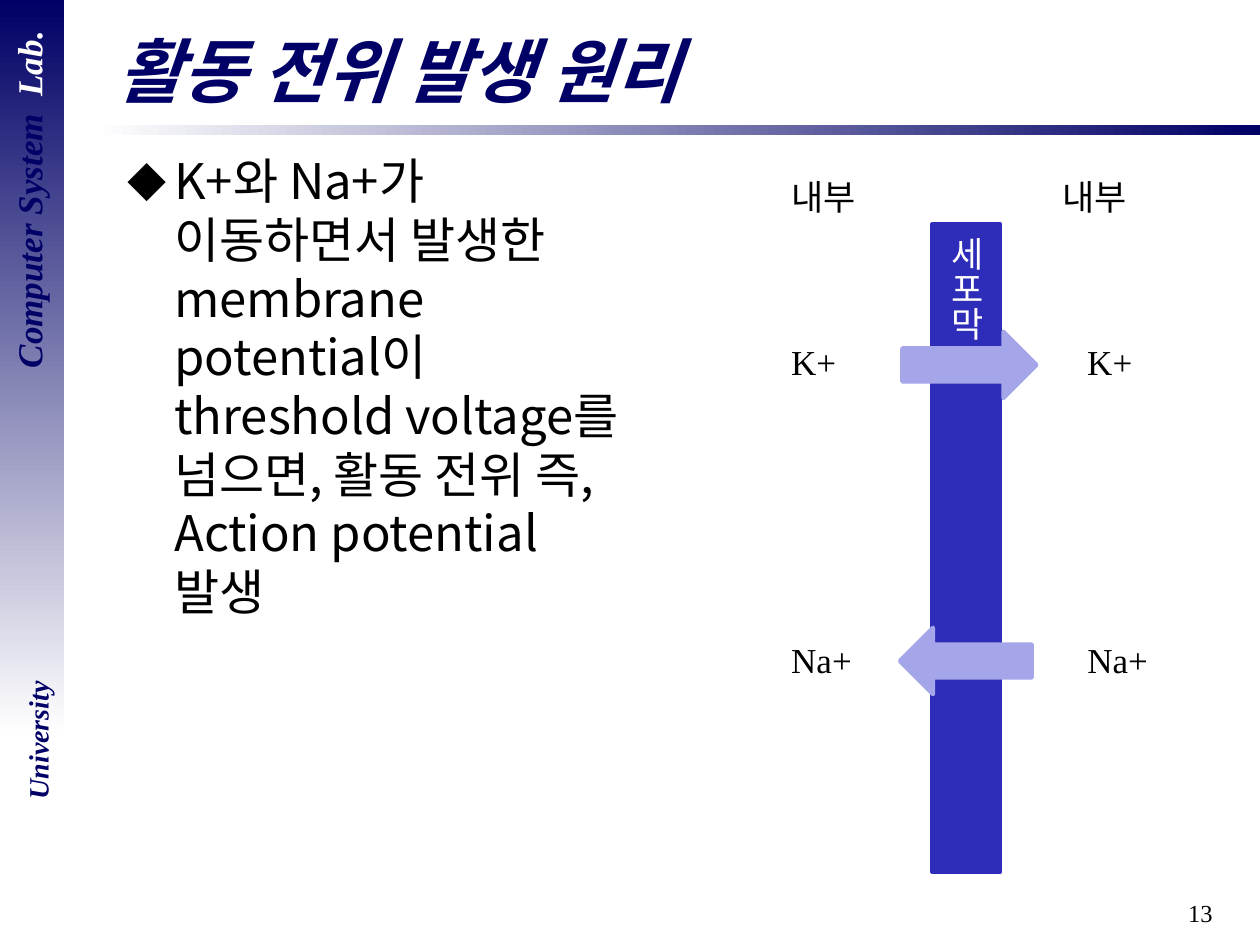
import lxml.etree
import pptx
import pptx.dml.color
import pptx.enum.shapes
import pptx.enum.text
import pptx.oxml.ns
import pptx.util

Pt = pptx.util.Pt
RGBColor = pptx.dml.color.RGBColor
Shape = pptx.enum.shapes.MSO_SHAPE
Align = pptx.enum.text.PP_ALIGN
Anchor = pptx.enum.text.MSO_ANCHOR
qn = pptx.oxml.ns.qn

NAVY = RGBColor(0x00, 0x00, 0x66)
MEMBRANE = RGBColor(0x2D, 0x2D, 0xB9)
ARROW = RGBColor(0xA5, 0xA5, 0xE9)
WHITE = RGBColor(0xFF, 0xFF, 0xFF)
BLACK = RGBColor(0x00, 0x00, 0x00)
SERIF = "Times New Roman"
SANS = "Noto Sans CJK KR"


def add_text(para, text, size=20, font=SERIF, color=BLACK, bold=False, italic=False):
    """Append a formatted span, with the sans face for its Korean letters."""
    span = para.add_run()
    span.text = text
    span.font.size = Pt(size)
    span.font.name = font
    span.font.color.rgb = color
    span.font.bold = bold
    span.font.italic = italic
    latin = span.font._element.find(qn("a:latin"))
    east_asian = lxml.etree.Element(qn("a:ea"), typeface=SANS)
    latin.addnext(east_asian)


def set_bullet(para, char, indent, percent):
    properties = para._p.get_or_add_pPr()
    properties.set("marL", str(Pt(indent)))
    properties.set("indent", str(-Pt(indent)))
    for tag, name, value in (
        ("a:buSzPct", "val", str(percent * 1000)),
        ("a:buFont", "typeface", SANS),
        ("a:buChar", "char", char),
    ):
        lxml.etree.SubElement(properties, qn(tag)).set(name, value)


class SlideBuilder:
    """Adds elements in the lecture style; all lengths are in points."""

    def __init__(self, deck):
        self.page = deck.slides.add_slide(deck.slide_layouts[5])

    def title(self, text, left, top, width, height):
        box = self.page.shapes.title
        box.left, box.top = Pt(left), Pt(top)
        box.width, box.height = Pt(width), Pt(height)
        box.text_frame.vertical_anchor = Anchor.MIDDLE
        para = box.text_frame.paragraphs[0]
        para.alignment = Align.LEFT
        add_text(para, text, size=40, font=SANS, color=NAVY, bold=True, italic=True)

    def text_box(self, left, top, width, height, align=Align.LEFT, wrap=True, rotation=0):
        """Add an empty text box and return its first paragraph."""
        box = self.page.shapes.add_textbox(Pt(left), Pt(top), Pt(width), Pt(height))
        box.rotation = rotation
        box.text_frame.word_wrap = wrap
        para = box.text_frame.paragraphs[0]
        para.alignment = align
        return para

    def block(self, kind, left, top, width, height, color):
        shape = self.page.shapes.add_shape(kind, Pt(left), Pt(top), Pt(width), Pt(height))
        shape.shadow.inherit = False
        shape.fill.solid()
        shape.fill.fore_color.rgb = color
        shape.line.color.rgb = color
        shape.line.width = Pt(2.25)
        return shape

    def gradient_bar(self, left, top, width, height, colors, angle):
        bar = self.block(Shape.RECTANGLE, left, top, width, height, NAVY)
        bar.line.fill.background()
        bar.fill.gradient()
        bar.fill.gradient_angle = angle
        for stop, color in zip(bar.fill.gradient_stops, colors):
            stop.color.rgb = color

    def label(self, text, left, top, width):
        add_text(self.text_box(left, top, width, 31.5, wrap=False), text)

    def membrane(self, text, left, top, width, height):
        wall = self.block(Shape.RECTANGLE, left, top, width, height, MEMBRANE)
        frame = wall.text_frame
        frame.vertical_anchor = Anchor.MIDDLE
        frame._txBody.bodyPr.set("vert", "eaVert")
        frame.paragraphs[0].alignment = Align.LEFT
        add_text(frame.paragraphs[0], text, color=WHITE)


def draw_frame(builder):
    builder.gradient_bar(54, 71.3, 666, 5.8, (WHITE, NAVY), angle=0)
    builder.gradient_bar(0, 0, 36.7, 419.8, (NAVY, WHITE), angle=270)
    number = builder.text_box(550, 509.8, 150, 30, align=Align.RIGHT)
    add_text(number, "13", size=14)

    lab = builder.text_box(-94.3, 98.6, 221, 31, align=Align.CENTER, rotation=270)
    add_text(lab, "Computer System  ", color=NAVY, bold=True, italic=True)
    add_text(lab, "Lab.", color=WHITE, bold=True, italic=True)
    school = builder.text_box(-29.5, 409.7, 102.2, 26.6, align=Align.CENTER, rotation=270)
    add_text(school, "University", size=16, color=NAVY, bold=True, italic=True)


def draw_body(builder):
    para = builder.text_box(65.5, 82.8, 306, 415.4)
    para.line_spacing = Pt(33.5)
    set_bullet(para, "◆", indent=27, percent=80)
    style = {"size": 28, "font": SANS}
    add_text(
        para,
        "K+와 Na+가 이동하면서 발생한 membrane potential이 "
        "threshold voltage를 넘으면, 활동 전위 즉, Action potential ",
        **style,
    )
    para.add_line_break()
    add_text(para, "발생", **style)


def draw_diagram(builder):
    builder.membrane("세포막", 532.8, 128.2, 38.9, 370)
    inside = 445
    for text, outside, top, width in (
        ("내부", 599.8, 96.5, 54.7),
        ("K+", 614.2, 190.8, 40.3),
        ("Na+", 614.2, 361.4, 49.7),
    ):
        builder.label(text, inside, top, width)
        builder.label(text, outside, top, width)
    builder.block(Shape.LEFT_ARROW, 514.1, 358.6, 75.6, 38.2, ARROW)
    builder.block(Shape.RIGHT_ARROW, 515.5, 189.4, 77, 38.2, ARROW)


def main():
    deck = pptx.Presentation()
    deck.slide_width, deck.slide_height = Pt(720), Pt(540)
    builder = SlideBuilder(deck)
    draw_frame(builder)
    builder.title("활동 전위 발생 원리", 59.8, 12.2, 640.8, 55.4)
    draw_body(builder)
    draw_diagram(builder)
    deck.save("out.pptx")


if __name__ == "__main__":
    main()
